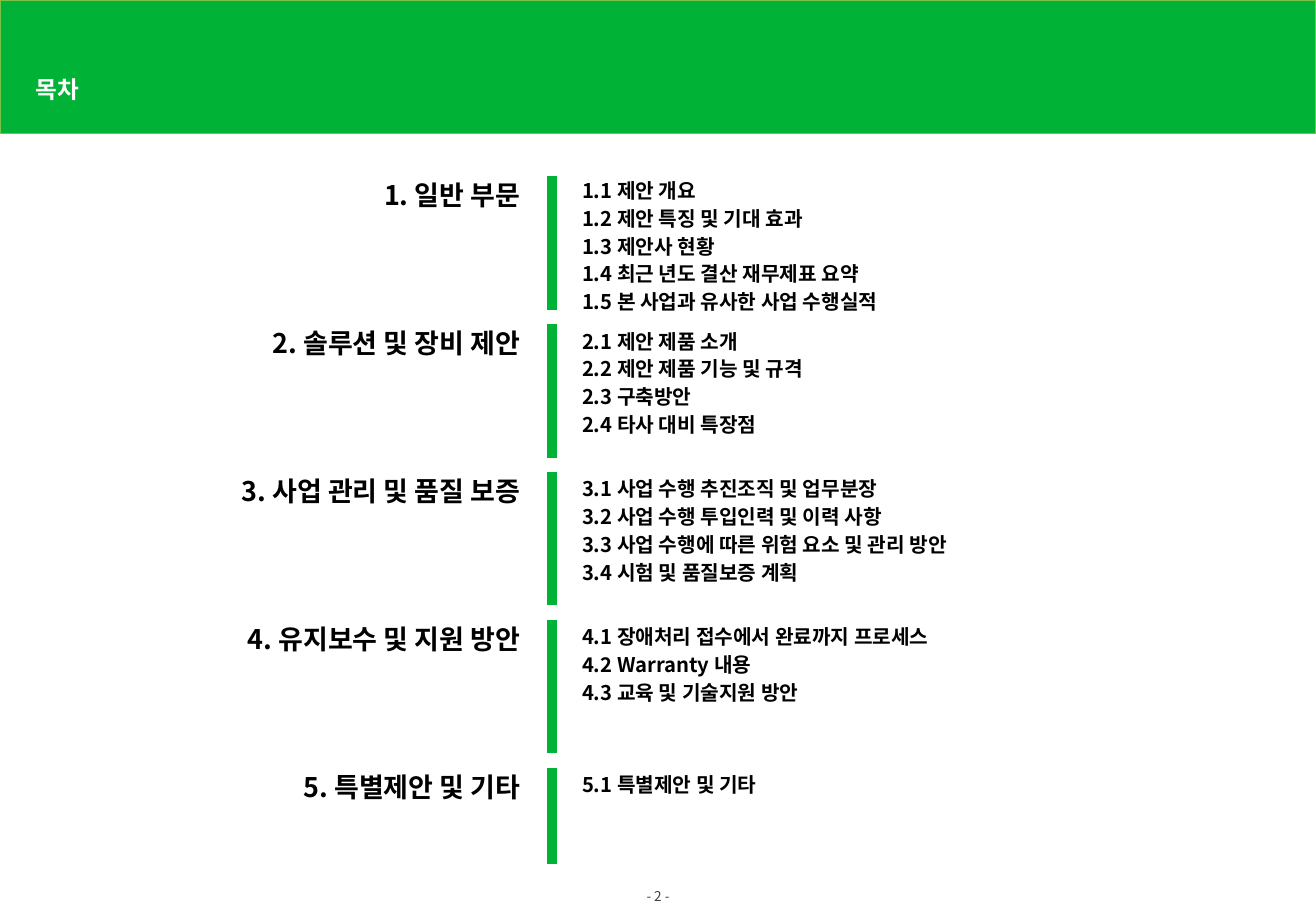
from lxml import etree
from pptx import Presentation
from pptx.dml.color import RGBColor
from pptx.enum.shapes import MSO_CONNECTOR, MSO_SHAPE
from pptx.enum.text import MSO_ANCHOR, MSO_AUTO_SIZE, PP_ALIGN
from pptx.oxml.ns import qn
from pptx.util import Inches, Pt

LEFT, CENTER, RIGHT = PP_ALIGN.LEFT, PP_ALIGN.CENTER, PP_ALIGN.RIGHT
TOP, MIDDLE = MSO_ANCHOR.TOP, MSO_ANCHOR.MIDDLE
NO_FIT, GROW = MSO_AUTO_SIZE.NONE, MSO_AUTO_SIZE.SHAPE_TO_FIT_TEXT
STRAIGHT, RECTANGLE = MSO_CONNECTOR.STRAIGHT, MSO_SHAPE.RECTANGLE

TITLE = "목차"
PAGE_NUMBER = "- 2 -"
SECTIONS = [
    ("1. 일반 부문", [
        "1.1 제안 개요",
        "1.2 제안 특징 및 기대 효과",
        "1.3 제안사 현황",
        "1.4 최근 년도 결산 재무제표 요약",
        "1.5 본 사업과 유사한 사업 수행실적",
    ]),
    ("2. 솔루션 및 장비 제안", [
        "2.1 제안 제품 소개",
        "2.2 제안 제품 기능 및 규격",
        "2.3 구축방안",
        "2.4 타사 대비 특장점",
    ]),
    ("3. 사업 관리 및 품질 보증", [
        "3.1 사업 수행 추진조직 및 업무분장",
        "3.2 사업 수행 투입인력 및 이력 사항",
        "3.3 사업 수행에 따른 위험 요소 및 관리 방안",
        "3.4 시험 및 품질보증 계획",
    ]),
    ("4. 유지보수 및 지원 방안", [
        "4.1 장애처리 접수에서 완료까지 프로세스",
        "4.2 Warranty 내용",
        "4.3 교육 및 기술지원 방안",
    ]),
    ("5. 특별제안 및 기타", ["5.1 특별제안 및 기타"]),
]
COLORS = {"green": "00B336", "edge": "7BC144", "white": "FFFFFF",
          "black": "000000", "gray": "404040"}
KOREAN_FONT = "Noto Sans CJK KR"
TITLE_FONT = "Arial"

PAGE_WIDTH, PAGE_HEIGHT = 10.83, 7.5
FIRST_TOP, LAST_TOP = 1.45, 6.32
PITCH = (LAST_TOP - FIRST_TOP) / (len(SECTIONS) - 1)
BAR_X, BAR_HEIGHT, LAST_HEIGHT = 4.54, 1.1, 0.79
RAISE = 0.02


def color(name):
    return RGBColor.from_string(COLORS[name])


def style_text(para, size, tint, bold=True, font=KOREAN_FONT):
    para.font.size = Pt(size)
    para.font.bold = bold
    para.font.color.rgb = color(tint)
    para.font.name = font
    defaults = para._p.pPr.find(qn("a:defRPr"))
    etree.SubElement(defaults, qn("a:ea"), typeface=KOREAN_FONT)


def add_text(page, place, lines, size, tint="black", bold=True, align=LEFT,
             anchor=TOP, fit=NO_FIT, inset=0.04, after=2):
    frame = page.shapes.add_textbox(*map(Inches, place)).text_frame
    frame.word_wrap = True
    frame.auto_size = fit
    frame.vertical_anchor = anchor
    frame.margin_left = frame.margin_right = Inches(inset)
    frame.margin_top = frame.margin_bottom = Inches(inset)
    frame.text = "\n".join(lines)
    for para in frame.paragraphs:
        para.alignment = align
        para.space_after = Pt(after)
        style_text(para, size, tint, bold)


def add_header(page):
    band = page.shapes.add_shape(RECTANGLE, 0, 0, Inches(PAGE_WIDTH), Inches(1.1))
    band.shadow.inherit = False
    band.fill.solid()
    band.fill.fore_color.rgb = color("green")
    band.line.color.rgb = color("edge")
    band.line.width = Pt(1)
    page.shapes.element.insert(2, band.element)

    title = page.shapes.title
    title.left, title.top = Inches(0.19), Inches(0.59)
    title.width, title.height = Inches(4.8), Inches(0.31)
    title.text_frame.text = TITLE
    title.text_frame.vertical_anchor = MIDDLE
    para = title.text_frame.paragraphs[0]
    para.alignment = LEFT
    para.line_spacing = 0.9
    style_text(para, 14, "white", font=TITLE_FONT)


def add_bar(page, top, height):
    bar = page.shapes.add_connector(STRAIGHT, Inches(BAR_X), Inches(top),
                                    Inches(BAR_X), Inches(top + height))
    bar.line.color.rgb = color("green")
    bar.line.width = Pt(6)
    etree.SubElement(bar.element.spPr, qn("a:effectLst"))


def add_section(page, index, heading, items):
    top = FIRST_TOP + index * PITCH
    height = LAST_HEIGHT if index == len(SECTIONS) - 1 else BAR_HEIGHT
    list_top = top - RAISE if index == 0 else top
    add_bar(page, top, height)
    add_text(page, (1.46, top - RAISE, 2.86, 0.35), [heading], 16,
             align=RIGHT, anchor=MIDDLE, fit=GROW)
    add_text(page, (4.75, list_top, 4.63, height), items, 12)


def main():
    deck = Presentation()
    deck.slide_width, deck.slide_height = Inches(PAGE_WIDTH), Inches(PAGE_HEIGHT)
    page = deck.slides.add_slide(deck.slide_layouts.get_by_name("Title Only"))
    add_header(page)
    for index, (heading, items) in enumerate(SECTIONS):
        add_section(page, index, heading, items)
    add_text(page, (5.12, 7.31, 0.59, 0.13), [PAGE_NUMBER], 8, "gray",
             bold=False, align=CENTER, fit=GROW, inset=0, after=0)
    deck.save("out.pptx")


if __name__ == "__main__":
    main()
